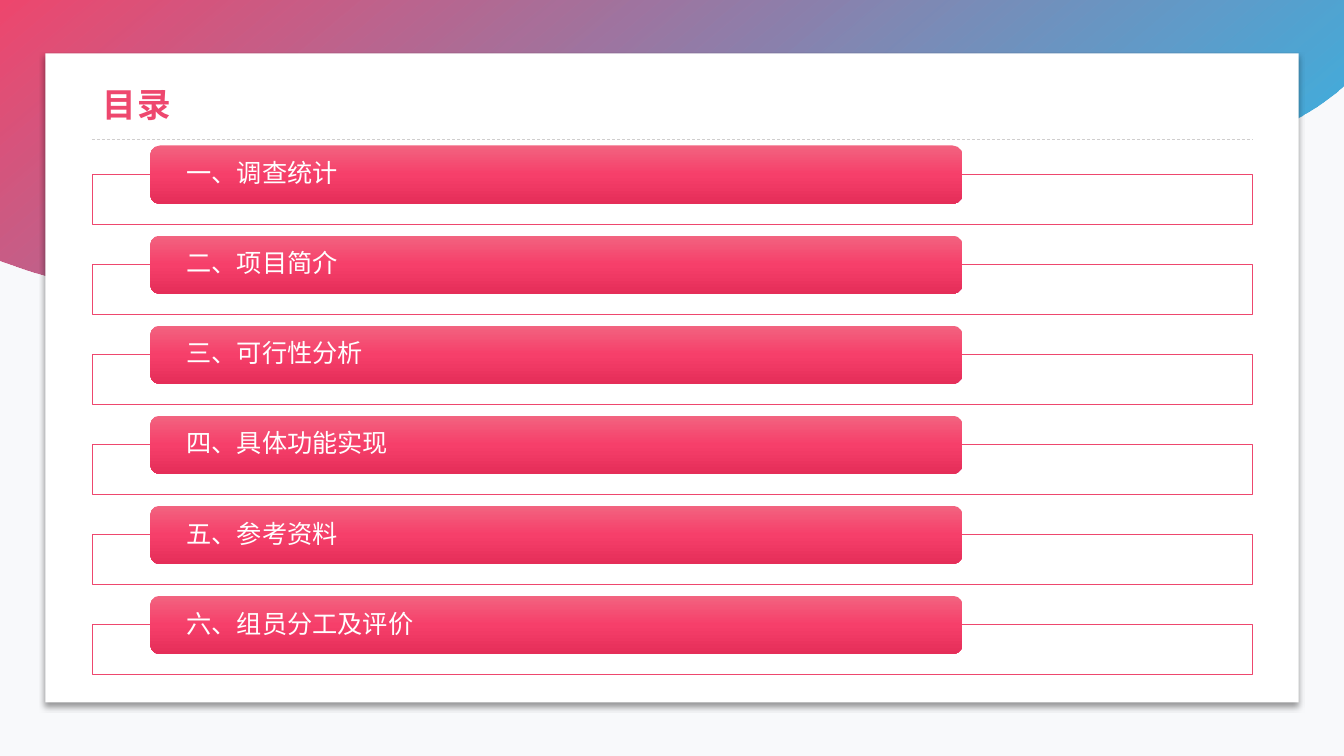
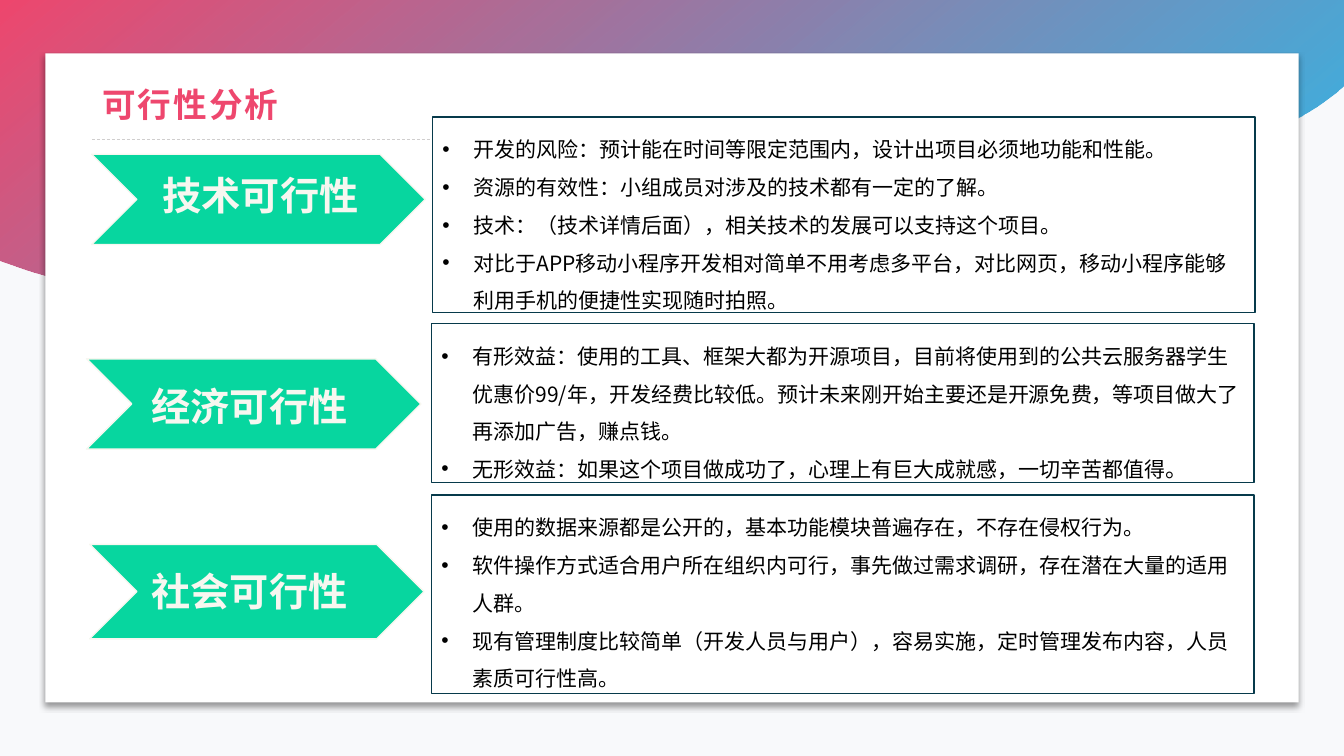
from lxml.etree import SubElement
from pptx import Presentation
from pptx.dml.color import RGBColor
from pptx.enum.dml import MSO_LINE
from pptx.enum.shapes import MSO_CONNECTOR, MSO_SHAPE
from pptx.enum.text import MSO_ANCHOR, PP_ALIGN
from pptx.oxml.ns import qn
from pptx.util import Inches, Pt

COLUMNS, ROWS = 160, 90
CELL = Inches(7.5) / ROWS
CURVE_STEPS = 30
SANS, SANS_JP, LATIN = "Noto Sans CJK SC", "Noto Sans CJK JP", "Arial"

COLORS = {
    "background": "F8F9FB",
    "accent": "EE476E",
    "sky": "16B3E8",
    "white": "FFFFFF",
    "black": "000000",
    "rule": "D0CECE",
    "bar_top": "F26480",
    "bar_middle": "F63F6A",
    "bar_bottom": "E52E59",
    "green": "07D69F",
    "cream": "F7F7F0",
    "navy": "073A4B",
}

WAVE_START = (0, 30.96)
WAVE_CURVES = [
    [(14.64, 36.48), (31.92, 37.32), (47.16, 32.88)],
    [(63.6, 28.2), (77.76, 18.12), (95.04, 16.32)],
    [(112.32, 14.52), (130.56, 21.6), (147.24, 17.04)],
    [(152.04, 15.72), (156.48, 13.32), (160, 10.2)],
]

CONTENTS = [
    "一、调查统计",
    "二、项目简介",
    "三、可行性分析",
    "四、具体功能实现",
    "五、参考资料",
    "六、组员分工及评价",
]

ASPECTS = [
    {
        "label": "技术可行性",
        "chevron": (10.92, 18.36, 39.7, 10.75),
        "label_at": (13.32, 19.8),
        "details_at": (51.48, 13.92, 97.92, 23.28),
        "details": [
            [("开发的风险：预计能在时间等限定范围内，设计出项目必须地功能和性能。", 15)],
            [("资源的有效性：小组成员对涉及的技术都有一定的了解。", 15)],
            [("技术：（技术详情后面），相关技术的发展可以支持这个项目。", 15)],
            [("对比于APP移动小程序开发相对简单不用考虑多平台，对比网页，"
              "移动小程序能够利用手机的便捷性实现随时拍照。", 15)],
        ],
    },
    {
        "label": "经济可行性",
        "chevron": (10.32, 42.72, 39.8, 10.75),
        "label_at": (12, 44.88),
        "details_at": (51.36, 38.52, 97.92, 18.96),
        "details": [
            [("有形效益：使用的工具、框架大都为开源项目，目前将使用到的公共云服务器学生"
              "优惠价99/年，开发经费比较低。预计未来刚开始主要还是开源免费，"
              "等项目做大了再添加广告，赚点钱。", 15)],
            [("无形效益：如果这个项目做成功了，心理上有巨大成就感，一切辛苦都值得", 15),
             ("。", 16)],
        ],
    },
    {
        "label": "社会可行性",
        "chevron": (10.68, 64.8, 39.8, 11.25),
        "label_at": (12, 66.96),
        "details_at": (51.36, 58.92, 97.92, 23.64),
        "details": [
            [("使用的数据来源都是公开的，基本功能模块普遍存在，不存在侵权行为。", 15)],
            [("软件操作方式适合用户所在组织内可行，事先做过需求调研，"
              "存在潜在大量的适用人群。", 15)],
            [("现有管理制度比较简单（开发人员与用户），容易实施，定时管理发布内容，"
              "人员素质可行性高。", 15)],
        ],
    },
]


def cells(count):
    return round(count * CELL)


def color(name):
    return RGBColor.from_string(COLORS[name])


def bezier(points, t):
    weights = ((1 - t) ** 3, 3 * t * (1 - t) ** 2, 3 * t ** 2 * (1 - t), t ** 3)
    return tuple(sum(w * point[axis] for w, point in zip(weights, points)) for axis in (0, 1))


def add_color(parent, name, alpha=100):
    element = SubElement(parent, qn("a:srgbClr"), val=COLORS[name])
    if alpha < 100:
        SubElement(element, qn("a:alpha"), val=str(alpha * 1000))


class Deck:
    def __init__(self):
        self.presentation = Presentation()
        self.presentation.slide_width = cells(COLUMNS)
        self.presentation.slide_height = cells(ROWS)
        self.slide = None

    def add_slide(self, title):
        self.slide = self.presentation.slides.add_slide(self.presentation.slide_layouts[6])
        fill = self.slide.background.fill
        fill.solid()
        fill.fore_color.rgb = color("background")
        self.wave()
        self.card(5.4, 6.36, 149.2, 77.25)
        self.rule(11, 149.2, 16.6)
        self.title(title)

    def wave(self):
        points, start = [WAVE_START], WAVE_START
        for curve in WAVE_CURVES:
            controls = [start, *curve]
            points += [bezier(controls, step / CURVE_STEPS) for step in range(1, CURVE_STEPS + 1)]
            start = curve[-1]
        points.append((COLUMNS, 0))
        builder = self.slide.shapes.build_freeform(0, 0, scale=1.0)
        builder.add_line_segments([(cells(x), cells(y)) for x, y in points], close=True)
        shape = builder.convert_to_shape()
        shape.shadow.inherit = False
        shape.line.fill.background()
        self.gradient(shape, 50, [(0, "accent", 100), (100, "sky", 90)])

    def card(self, x, y, width, height):
        shape = self.shape(MSO_SHAPE.RECTANGLE, x, y, width, height, "white")
        effects = shape._element.spPr.find(qn("a:effectLst"))
        shadow = SubElement(effects, qn("a:outerShdw"), blurRad=str(Pt(4)), dist=str(Pt(3)),
                            dir=str(90 * 60000), algn="t", rotWithShape="0")
        add_color(shadow, "black", 40)

    def rule(self, left, right, y):
        line = self.slide.shapes.add_connector(
            MSO_CONNECTOR.STRAIGHT, cells(left), cells(y), cells(right), cells(y))
        line.line.color.rgb = color("rule")
        line.line.width = Pt(0.5)
        line.line.dash_style = MSO_LINE.DASH
        SubElement(line._element.spPr, qn("a:effectLst"))

    def title(self, text):
        frame = self.text_box(11, 8.88, 138, 7.7, 1.2)
        frame.paragraphs[0].line_spacing = 0.9
        run = self.run(frame.paragraphs[0], text, 24, "accent", bold=True)
        run._r.get_or_add_rPr().set("spc", "150")

    def shape(self, kind, x, y, width, height, fill, line=None, weight=1):
        shape = self.slide.shapes.add_shape(kind, cells(x), cells(y), cells(width), cells(height))
        shape.shadow.inherit = False
        shape.fill.solid()
        shape.fill.fore_color.rgb = color(fill)
        if line:
            shape.line.color.rgb = color(line)
            shape.line.width = Pt(weight)
        else:
            shape.line.fill.background()
        return shape

    def gradient(self, shape, angle, stops):
        shape.fill.gradient()
        fill = shape._element.spPr.find(qn("a:gradFill"))
        for child in list(fill):
            fill.remove(child)
        stop_list = SubElement(fill, qn("a:gsLst"))
        for position, name, alpha in stops:
            stop = SubElement(stop_list, qn("a:gs"), pos=str(position * 1000))
            add_color(stop, name, alpha)
        SubElement(fill, qn("a:lin"), ang=str(angle * 60000), scaled="0")

    def frame(self, shape, side, top=0, anchor=MSO_ANCHOR.MIDDLE):
        frame = shape.text_frame
        frame.word_wrap = True
        frame.vertical_anchor = anchor
        frame.margin_left = frame.margin_right = cells(side)
        frame.margin_top = cells(top)
        frame.margin_bottom = 0
        frame.paragraphs[0].alignment = PP_ALIGN.LEFT
        return frame

    def text_box(self, x, y, width, height, side):
        shape = self.slide.shapes.add_textbox(cells(x), cells(y), cells(width), cells(height))
        return self.frame(shape, side)

    def run(self, paragraph, text, size, name, font=SANS, bold=False, east_asian=None):
        run = paragraph.add_run()
        run.text = text
        run.font.size = Pt(size)
        run.font.bold = bold
        run.font.color.rgb = color(name)
        run.font.name = font
        SubElement(run._r.get_or_add_rPr(), qn("a:ea"), typeface=east_asian or font)
        return run

    def contents_item(self, y, text):
        self.shape(MSO_SHAPE.RECTANGLE, 11, y + 3.45, 138.15, 5.95, "white", "accent", 0.5)
        bar = self.shape(MSO_SHAPE.ROUNDED_RECTANGLE, 17.88, y, 96.7, 6.95, "bar_middle")
        self.gradient(bar, 90, [(0, "bar_top", 100), (50, "bar_middle", 100),
                                (100, "bar_bottom", 100)])
        paragraph = self.frame(bar, 4).paragraphs[0]
        paragraph.line_spacing = 0.9
        self.run(paragraph, text, 18, "white", SANS_JP)

    def chevron(self, x, y, width, height):
        self.shape(MSO_SHAPE.CHEVRON, x, y, width, height, "green", "cream")

    def label(self, x, y, text):
        paragraph = self.text_box(x, y, 35.4, 6.84, 1.2).paragraphs[0]
        paragraph.alignment = PP_ALIGN.CENTER
        self.run(paragraph, text, 28, "cream", LATIN, True, SANS)

    def details(self, x, y, width, height, items):
        box = self.shape(MSO_SHAPE.RECTANGLE, x, y, width, height, "white", "navy")
        frame = self.frame(box, 1.2, 0.85, MSO_ANCHOR.TOP)
        for index, item in enumerate(items):
            paragraph = frame.add_paragraph() if index else frame.paragraphs[0]
            paragraph.alignment = PP_ALIGN.LEFT
            paragraph.line_spacing = Pt(27)
            properties = paragraph._p.get_or_add_pPr()
            properties.set("marL", str(Inches(0.31)))
            properties.set("indent", str(-Inches(0.31)))
            SubElement(properties, qn("a:buFont"), typeface=LATIN)
            SubElement(properties, qn("a:buChar"), char="•")
            for text, size in item:
                self.run(paragraph, text, size, "black")


def main():
    deck = Deck()
    deck.add_slide("目录")
    for index, text in enumerate(CONTENTS):
        deck.contents_item(17.32 + index * 10.72, text)

    deck.add_slide("可行性分析")
    for aspect in ASPECTS:
        deck.chevron(*aspect["chevron"])
        deck.label(*aspect["label_at"], aspect["label"])
        deck.details(*aspect["details_at"], aspect["details"])
    deck.presentation.save("out.pptx")


if __name__ == "__main__":
    main()
